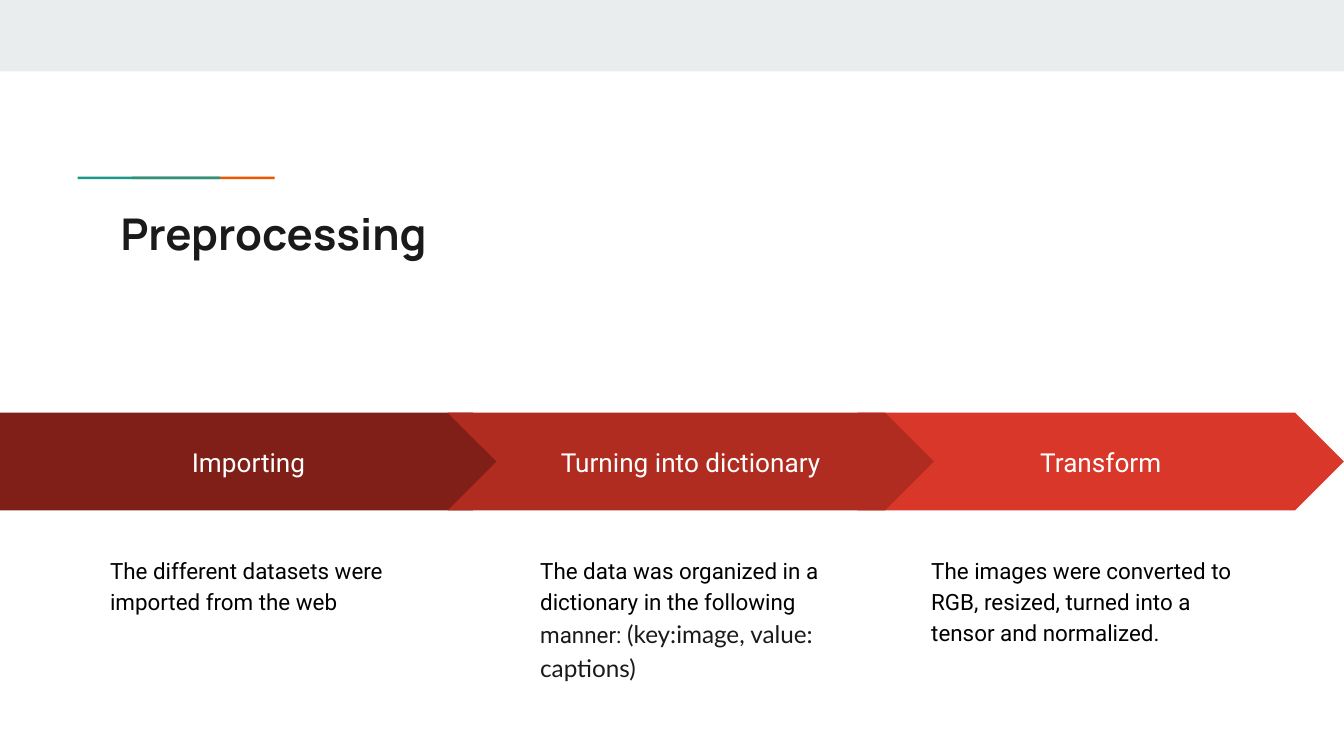
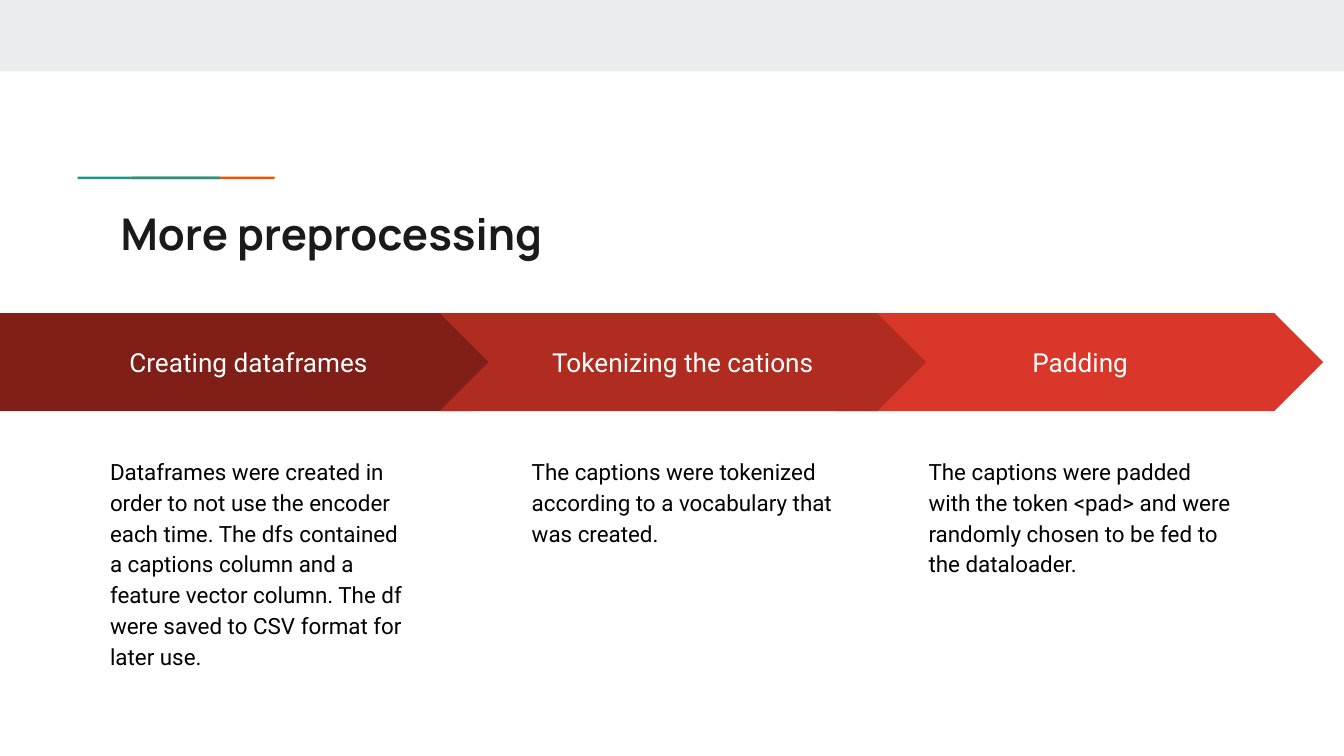
from dataclasses import dataclass

from pptx import Presentation
from pptx import util as u
from pptx.dml.color import RGBColor
from pptx.enum import shapes, text

BAND = RGBColor(0xE9, 0xED, 0xEE)
ORANGE = RGBColor(0xEB, 0x56, 0x00)
TEAL = RGBColor(0x1A, 0x99, 0x88)
INK = RGBColor(0x1A, 0x1A, 0x1A)
BLACK = RGBColor(0x00, 0x00, 0x00)
WHITE = RGBColor(0xFF, 0xFF, 0xFF)
DARK_RED = RGBColor(0x80, 0x1F, 0x17)
MID_RED = RGBColor(0xB0, 0x2B, 0x20)
BRIGHT_RED = RGBColor(0xD8, 0x37, 0x29)

SLIDE_WIDTH, SLIDE_HEIGHT = u.Cm(25.4), u.Cm(14.29)
INSET = u.Cm(0.25)
ACCENT_WIDTH, ACCENT_HEIGHT = u.Cm(2.69), u.Cm(0.05)
ARROW_HEIGHT = u.Cm(1.85)
BODY_DROP = u.Cm(2.41)  # from the top of an arrow to the top of its text
BODY_WIDTH, BODY_HEIGHT = u.Cm(6.22), u.Cm(7.26)


@dataclass(frozen=True)
class Span:
    words: str
    size: float = 12
    font: str = "Roboto"
    color: RGBColor = BLACK
    bold: bool = False


@dataclass(frozen=True)
class ArrowStyle:
    preset: shapes.MSO_SHAPE
    width: u.Length
    color: RGBColor


@dataclass(frozen=True)
class Step:
    label: str
    body: tuple[Span, ...]
    arrow_left: u.Length
    body_left: u.Length


@dataclass(frozen=True)
class Process:
    title: str
    top: u.Length
    steps: tuple[Step, ...]


ARROWS = (
    ArrowStyle(shapes.MSO_SHAPE.PENTAGON, u.Cm(9.86), DARK_RED),
    ArrowStyle(shapes.MSO_SHAPE.CHEVRON, u.Cm(9.19), MID_RED),
    ArrowStyle(shapes.MSO_SHAPE.CHEVRON, u.Cm(9.19), BRIGHT_RED),
)
DRAW_ORDER = (2, 0, 1)  # the middle arrow overlaps both neighbours

PROCESSES = (
    Process("Preprocessing", u.Cm(7.8), (
        Step("Importing",
             (Span("The different datasets were imported from the web"),),
             u.Cm(0), u.Cm(1.83)),
        Step("Turning into dictionary",
             (Span("The data was organized in a dictionary in the following "),
              Span("manner: ", color=INK),
              Span("(key:image, value: captions)", 13, "Lato", INK)),
             u.Cm(8.46), u.Cm(9.96)),
        Step("Transform",
             (Span("The images were converted to RGB, resized, turned into "
                   "a tensor and normalized."),),
             u.Cm(16.21), u.Cm(17.35)),
    )),
    Process("More preprocessing", u.Cm(5.92), (
        Step("Creating dataframes",
             (Span("Dataframes were created in order to not use the encoder "
                   "each time. The dfs contained a captions column and a "
                   "feature vector column. The df were saved to CSV format "
                   "for later use."),),
             u.Cm(0), u.Cm(1.83)),
        Step("Tokenizing the cations",
             (Span("The captions were tokenized according to a vocabulary "
                   "that was created."),),
             u.Cm(8.31), u.Cm(9.8)),
        Step("Padding",
             (Span("The captions were padded with the token <pad> and were "
                   "randomly chosen to be fed to the dataloader."),),
             u.Cm(15.82), u.Cm(17.3)),
    )),
)


def write(shape, spans: tuple[Span, ...], align=text.PP_ALIGN.LEFT,
          anchor=text.MSO_ANCHOR.TOP, line_spacing: float = 1.0) -> None:
    """Fill a shape or text box with one paragraph of styled runs."""
    frame = shape.text_frame
    frame.word_wrap = True
    frame.vertical_anchor = anchor
    frame.margin_left = frame.margin_right = INSET
    frame.margin_top = frame.margin_bottom = INSET
    para = frame.paragraphs[0]
    para.alignment = align
    para.line_spacing = line_spacing
    for span in spans:
        run = para.add_run()
        run.text = span.words
        run.font.size = u.Pt(span.size)
        run.font.name = span.font
        run.font.bold = span.bold
        run.font.color.rgb = span.color


def add_filled(page, preset, left, top, width, height, color: RGBColor):
    shape = page.shapes.add_shape(preset, left, top, width, height)
    shape.shadow.inherit = False
    shape.fill.solid()
    shape.fill.fore_color.rgb = color
    shape.line.fill.background()
    return shape


def add_frame(page, title: str) -> None:
    """Draw what every slide shares: top band, accent line and title."""
    rectangle = shapes.MSO_SHAPE.RECTANGLE
    add_filled(page, rectangle, 0, 0, SLIDE_WIDTH, u.Cm(1.35), BAND)
    for left, color in ((u.Cm(2.5), ORANGE), (u.Cm(1.47), TEAL)):
        add_filled(page, rectangle, left, u.Cm(3.34),
                   ACCENT_WIDTH, ACCENT_HEIGHT, color)
    box = page.shapes.add_textbox(u.Cm(2.03), u.Cm(3.66),
                                  u.Cm(21.36), u.Cm(1.5))
    write(box, (Span(title, 23.4, "Manrope", INK, True),))


def add_step(page, step: Step, style: ArrowStyle, top: u.Length) -> None:
    arrow = add_filled(page, style.preset, step.arrow_left, top,
                       style.width, ARROW_HEIGHT, style.color)
    arrow.adjustments[0] = 0.5
    write(arrow, (Span(step.label, 14, color=WHITE),),
          text.PP_ALIGN.CENTER, text.MSO_ANCHOR.MIDDLE)
    box = page.shapes.add_textbox(step.body_left, top + BODY_DROP,
                                  BODY_WIDTH, BODY_HEIGHT)
    write(box, step.body, line_spacing=1.15)


def main() -> None:
    deck = Presentation()
    deck.slide_width, deck.slide_height = SLIDE_WIDTH, SLIDE_HEIGHT
    for process in PROCESSES:
        page = deck.slides.add_slide(deck.slide_layouts[6])
        add_frame(page, process.title)
        for index in DRAW_ORDER:
            add_step(page, process.steps[index], ARROWS[index], process.top)
    deck.save("out.pptx")


if __name__ == "__main__":
    main()
